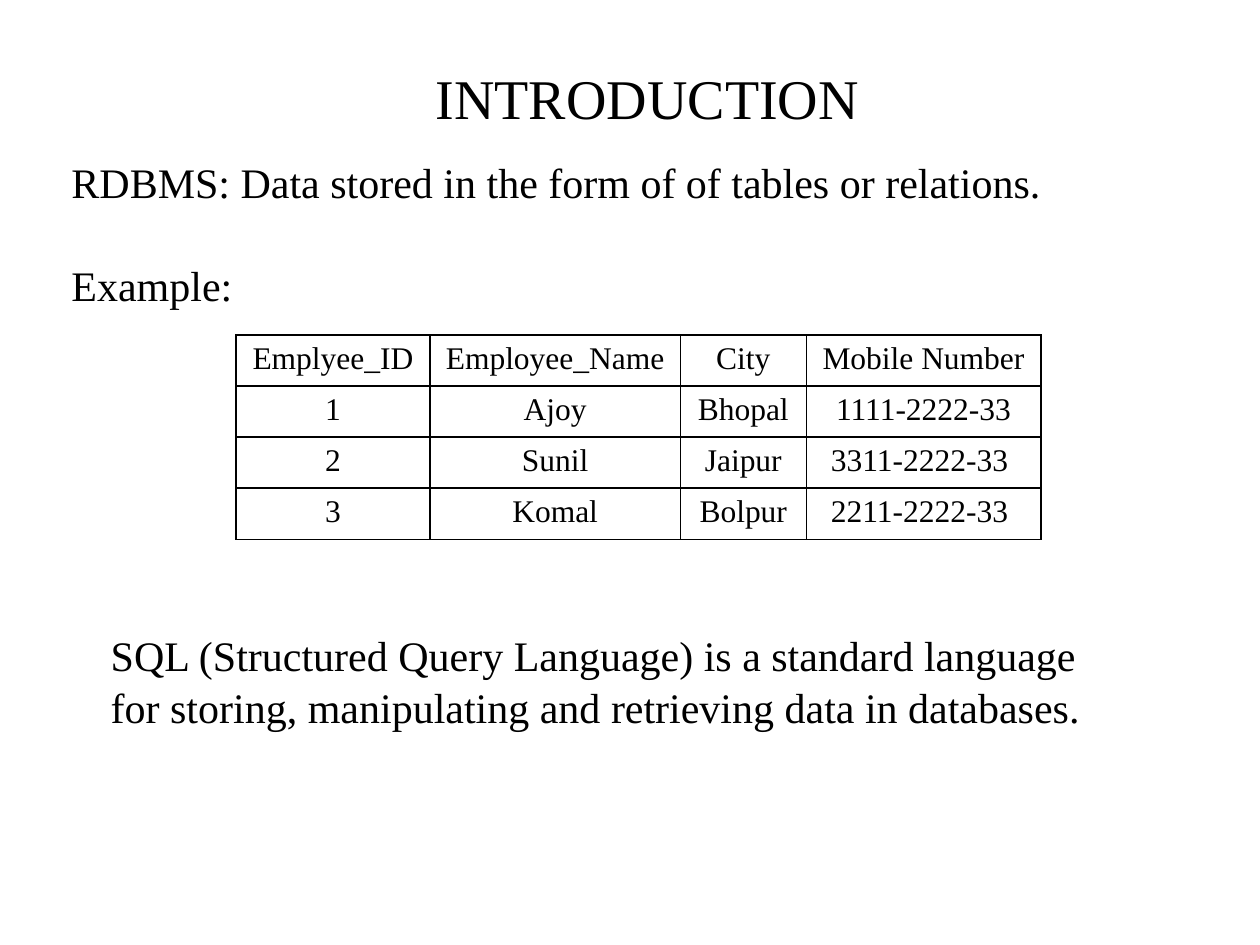
from dataclasses import dataclass
from lxml import etree
from pptx import Presentation
from pptx.dml.color import RGBColor
from pptx.enum.text import MSO_ANCHOR, PP_ALIGN
from pptx.oxml.ns import qn
from pptx.util import Pt

CENTER, LEFT, JUSTIFY = PP_ALIGN.CENTER, PP_ALIGN.LEFT, PP_ALIGN.JUSTIFY
TOP = MSO_ANCHOR.TOP


@dataclass(frozen=True)
class Theme:
    font: str = "Times New Roman"
    ink: RGBColor = RGBColor(0, 0, 0)
    paper: RGBColor = RGBColor(255, 255, 255)
    title: int = 32
    body: int = 24
    cell: int = 18
    rule: int = 1


theme = Theme()


def write(tf, text, size, align):
    tf.text = text
    for p in tf.paragraphs:
        p.alignment = align
        for r in p.runs:
            r.font.name = theme.font
            r.font.size = Pt(size)
            r.font.color.rgb = theme.ink


def add_border(cell, side):
    ln = etree.SubElement(cell._tc.get_or_add_tcPr(), qn(f"a:{side}"), w=str(Pt(theme.rule)))
    fill = etree.SubElement(ln, qn("a:solidFill"))
    etree.SubElement(fill, qn("a:srgbClr"), val=str(theme.ink))


prs = Presentation()
prs.slide_width, prs.slide_height = Pt(720), Pt(540)
s = prs.slides.add_slide(prs.slide_layouts[5])
s.background.fill.solid()
s.background.fill.fore_color.rgb = theme.paper

title = s.shapes.title
title.left, title.top, title.width, title.height = Pt(46), Pt(28.8), Pt(648), Pt(56)
title.text_frame.vertical_anchor = TOP
title.text_frame.margin_top = Pt(7.2)
write(title.text_frame, "INTRODUCTION", theme.title, CENTER)

passages = [
    ("RDBMS: Data stored in the form of of tables or relations.\nExample: ",
     (33.8, 84.5, 664, 138), JUSTIFY),
    ("SQL (Structured Query Language) is a standard language for storing, "
     "manipulating and retrieving data in databases.",
     (56.2, 354.5, 585.4, 65.5), LEFT),
]
for text, box, align in passages:
    sp = s.shapes.add_textbox(*map(Pt, box))
    tf = sp.text_frame
    tf.word_wrap = True
    write(tf, text, theme.body, align)
    for p in tf.paragraphs:
        p.line_spacing = 1.05
    for p in tf.paragraphs[1:]:
        p.space_before = Pt(28.8)

rows = [
    ("Emplyee_ID", "Employee_Name", "City", "Mobile Number"),
    ("1", "Ajoy", "Bhopal", "1111-2222-33"),
    ("2", "Sunil", "Jaipur", "3311-2222-33 "),
    ("3", "Komal", "Bolpur", "2211-2222-33 "),
]
widths = [111, 143, 72, 134]
row_height = 29.2
frame = s.shapes.add_table(len(rows), len(widths), Pt(134.8), Pt(191.4),
                           Pt(sum(widths)), Pt(row_height * len(rows)))
table = frame.table
table.first_row = table.horz_banding = False
for column, width in zip(table.columns, widths):
    column.width = Pt(width)
for row, values in zip(table.rows, rows):
    row.height = Pt(row_height)
    for cell, value in zip(row.cells, values):
        write(cell.text_frame, value, theme.cell, CENTER)
        for side in ("lnL", "lnR", "lnT", "lnB"):
            add_border(cell, side)
        cell.fill.background()

prs.save("out.pptx")
